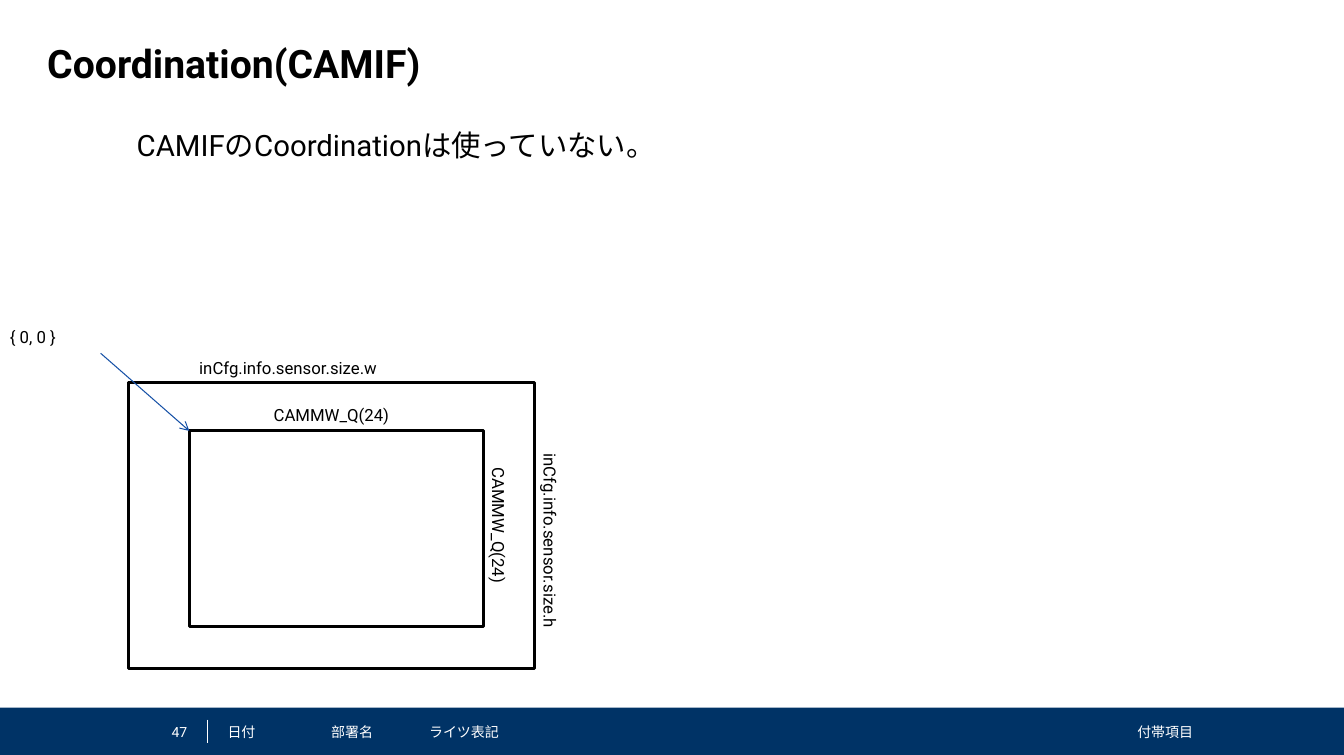
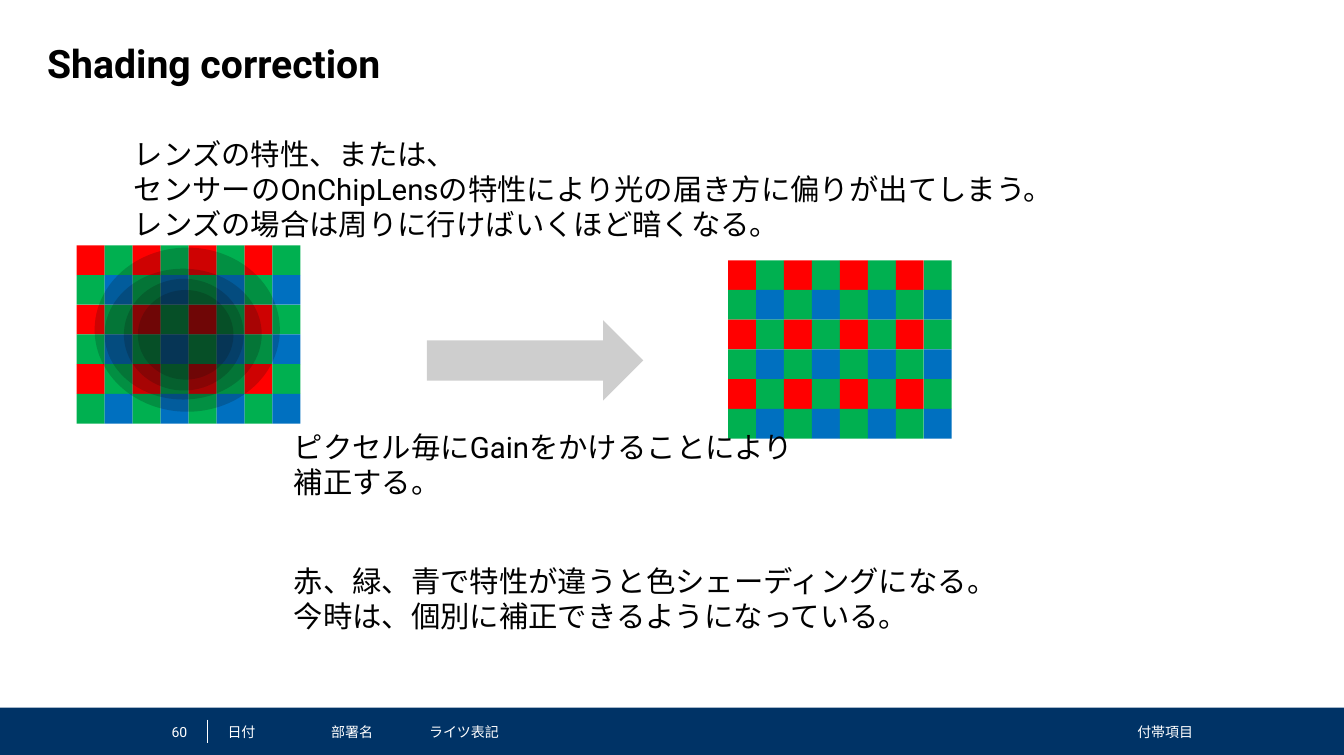
from dataclasses import dataclass

from pptx import Presentation
from pptx.dml.color import RGBColor
from pptx.enum import shapes, text
from pptx.oxml.ns import qn
from pptx.util import Pt
from lxml import etree


@dataclass(frozen=True)
class Theme:
    font: str = "Roboto"
    ink: str = "000000"
    white: str = "FFFFFF"
    navy: str = "003366"
    arrow: str = "1550A6"
    shade: str = "0D0D0D"
    red: str = "FF0000"
    green: str = "00B050"
    blue: str = "0070C0"
    title: int = 28
    body: int = 21
    label: int = 12
    footer: int = 10


T = Theme()
WIDTH, HEIGHT = 961.2, 540
FOOTER_TOP = 506.2
CELL_W, CELL_H = 20, 21.25
BAYER = ((T.red, T.green), (T.green, T.blue))
LEFT, RIGHT = text.PP_ALIGN.LEFT, text.PP_ALIGN.RIGHT
RECT = shapes.MSO_SHAPE.RECTANGLE


def add_text(s, box, lines, size, color=T.ink, bold=False, align=LEFT,
             inset=(7.2, 3.6), anchor=text.MSO_ANCHOR.TOP, rotation=0):
    """Add a text box with one paragraph for each string in lines."""
    sp = s.shapes.add_textbox(*map(Pt, box))
    sp.rotation = rotation
    tf = sp.text_frame
    tf.word_wrap = True
    tf.vertical_anchor = anchor
    tf.margin_left = tf.margin_right = Pt(inset[0])
    tf.margin_top = tf.margin_bottom = Pt(inset[1])
    tf.text = "\n".join(lines)
    for p in tf.paragraphs:
        p.alignment = align
        p.font.size = Pt(size)
        p.font.bold = bold
        p.font.color.rgb = RGBColor.from_string(color)
        p.font.name = T.font
        props = p._p.find(".//" + qn("a:defRPr"))
        etree.SubElement(props, qn("a:ea"), typeface=T.font)


def add_shape(s, kind, box, fill=None, line=None, alpha=None):
    """Add a preset shape; alpha is the opacity of the fill in percent."""
    sp = s.shapes.add_shape(kind, *map(Pt, box))
    sp.shadow.inherit = False
    if fill:
        sp.fill.solid()
        sp.fill.fore_color.rgb = RGBColor.from_string(fill)
    else:
        sp.fill.background()
    if alpha:
        color = sp._element.spPr.find(".//" + qn("a:srgbClr"))
        etree.SubElement(color, qn("a:alpha"), val=str(alpha * 1000))
    if line:
        sp.line.color.rgb = RGBColor.from_string(line)
        sp.line.width = Pt(2)
    else:
        sp.line.fill.background()


def add_line(s, ends, color, width, arrow=False):
    cx = s.shapes.add_connector(shapes.MSO_CONNECTOR.STRAIGHT, *map(Pt, ends))
    cx.line.color.rgb = RGBColor.from_string(color)
    cx.line.width = Pt(width)
    if arrow:
        etree.SubElement(cx.line._get_or_add_ln(), qn("a:tailEnd"), type="arrow")
    etree.SubElement(cx._element.spPr, qn("a:effectLst"))


def add_slide(prs, title, number):
    """Add a blank slide with the shared title and footer band."""
    s = prs.slides.add_slide(prs.slide_layouts[6])
    add_shape(s, RECT, (0, FOOTER_TOP, WIDTH, HEIGHT - FOOTER_TOP), T.navy)
    add_line(s, (148.3, 514.8, 148.3, 531.4), T.white, 0.25)
    for left, width, words, align in (
        (111.6, 22.3, number, RIGHT),
        (162.7, 61.2, "日付", LEFT),
        (236.9, 60, "部署名", LEFT),
        (306.9, 120, "ライツ表記", LEFT),
        (632.2, 221, "付帯項目", RIGHT),
    ):
        add_text(s, (left, 514.8, width, 17), [words], T.footer, T.white,
                 align=align, inset=(0, 0), anchor=text.MSO_ANCHOR.MIDDLE)
    add_text(s, (33.8, 28.1, 892.8, 42.5), [title], T.title, bold=True, inset=(0, 0))
    return s


def add_bayer_grid(s, left, top, cols=8, rows=6):
    """Add a pixel grid that repeats the two-by-two Bayer pattern."""
    for row in range(rows):
        for col in range(cols):
            box = (left + col * CELL_W, top + row * CELL_H, CELL_W, CELL_H)
            add_shape(s, RECT, box, BAYER[row % 2][col % 2])


def coordination_slide(prs):
    s = add_slide(prs, "Coordination(CAMIF)", "47")
    for box in ((92.2, 273.6, 290.2, 204.5), (135.4, 308.2, 210.2, 139.7)):
        add_shape(s, RECT, box, line=T.ink)
    for box, words, rotation in (
        ((135.4, 252, 152, 21.6), "inCfg.info.sensor.size.w", 0),
        ((319, 380.9, 149, 21.6), "inCfg.info.sensor.size.h", 90),
        ((188.6, 285.8, 104, 21.6), "CAMMW_Q(24)", 0),
        ((306, 367.2, 101.5, 21.6), "CAMMW_Q(24)", 90),
        ((0, 230.4, 54, 21.6), "{ 0, 0 }", 0),
    ):
        add_text(s, box, [words], T.label, rotation=rotation)
    add_line(s, (72, 252.7, 135.4, 308.2), T.arrow, 0.75, arrow=True)
    add_text(s, (90.7, 87.1, 420, 32.4), ["CAMIFのCoordinationは使っていない。"], T.body)


def shading_slide(prs):
    s = add_slide(prs, "Shading correction", "60")
    add_bayer_grid(s, 54.9, 175.5)
    for box in (
        (98.6, 207.4, 68.4, 64.1),
        (88.6, 199.4, 85.7, 79.9),
        (74.9, 192.2, 112.3, 93.6),
        (67.7, 177.1, 132.5, 117.4),
    ):
        add_shape(s, shapes.MSO_SHAPE.OVAL, box, T.shade, alpha=20)
    add_text(s, (88.6, 93.6, 683.3, 83.5), [
        "レンズの特性、または、",
        "センサーのOnChipLensの特性により光の届き方に偏りが出てしまう。",
        "レンズの場合は周りに行けばいくほど暗くなる。",
    ], T.body)
    add_bayer_grid(s, 520.7, 186.2)
    add_shape(s, shapes.MSO_SHAPE.RIGHT_ARROW, (305.3, 229, 154.8, 57.6),
              T.shade, alpha=20)
    add_text(s, (203, 303.1, 377.3, 58.3),
             ["ピクセル毎にGainをかけることにより", "補正する。"], T.body)
    add_text(s, (203, 398.9, 523.4, 58.3), [
        "赤、緑、青で特性が違うと色シェーディングになる。",
        "今時は、個別に補正できるようになっている。",
    ], T.body)


def main():
    prs = Presentation()
    prs.slide_width, prs.slide_height = Pt(WIDTH), Pt(HEIGHT)
    coordination_slide(prs)
    shading_slide(prs)
    prs.save("out.pptx")


if __name__ == "__main__":
    main()
